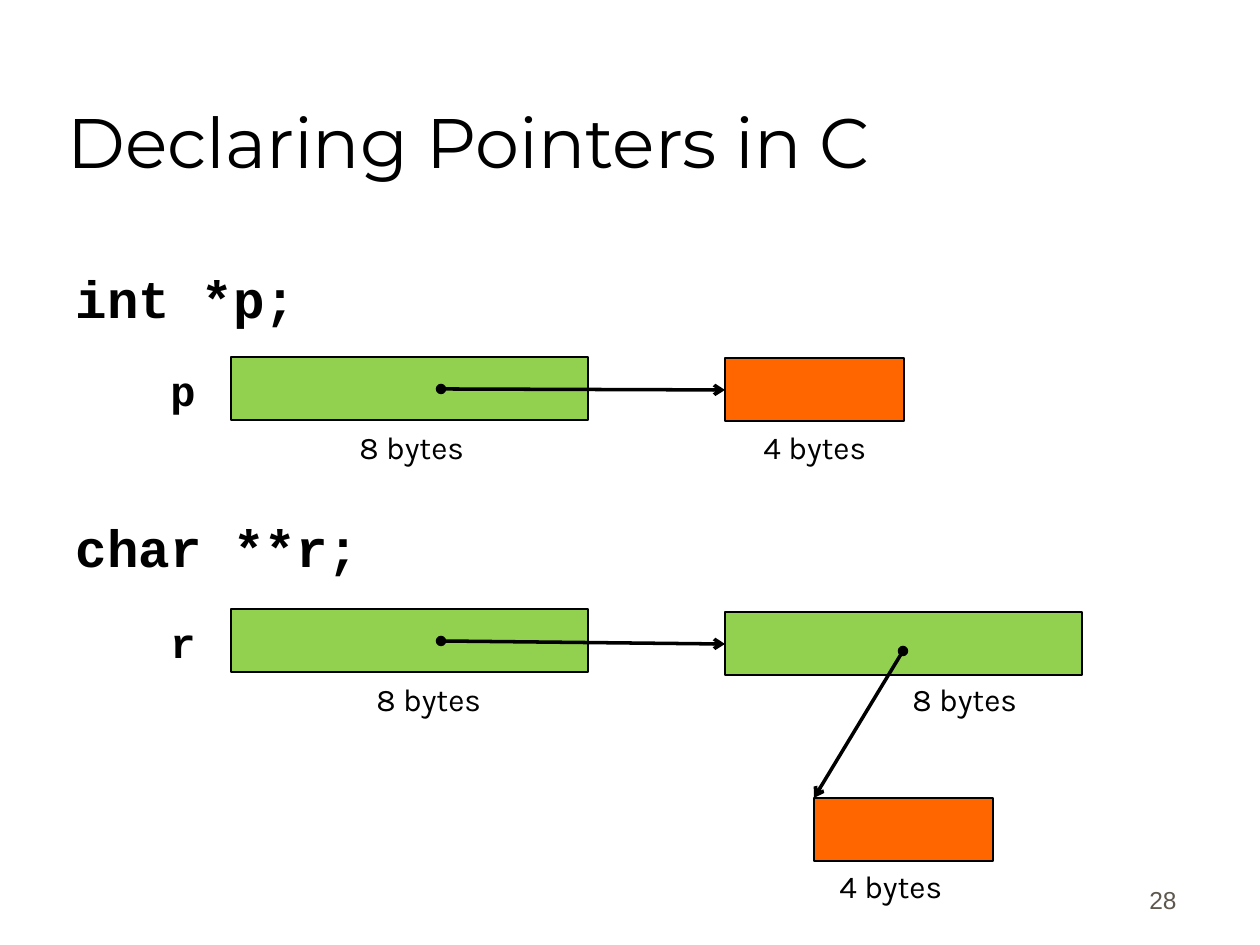
from collections import namedtuple

from lxml.etree import SubElement
from pptx import Presentation
from pptx.dml.color import RGBColor
from pptx.enum.shapes import MSO_CONNECTOR, MSO_SHAPE
from pptx.enum.text import MSO_ANCHOR, MSO_AUTO_SIZE, PP_ALIGN
from pptx.oxml.ns import qn
from pptx.util import Emu, Pt

BLACK = RGBColor(0x00, 0x00, 0x00)
GREEN = RGBColor(0x92, 0xD0, 0x50)
ORANGE = RGBColor(0xFF, 0x66, 0x00)
GREY = RGBColor(0x5E, 0x57, 0x4E)
CODE_FONT = "Courier New"
POINTER_WIDTH, VALUE_WIDTH, CELL_HEIGHT = 357, 179, 63

Box = namedtuple("Box", "left top width height")


def px(length):
    """Turn pixels at 126 to the inch into EMU."""
    return Emu(round(length * 914400 / 126))


def place(shape, box):
    """Move and size a shape to a box."""
    shape.left, shape.top, shape.width, shape.height = map(px, box)


def add_span(para, text, font, size, color=BLACK, bold=False):
    """Add one formatted run to a paragraph."""
    span = para.add_run()
    span.text = text
    span.font.name = font
    span.font.size = Pt(size)
    span.font.bold = bold
    span.font.color.rgb = color


def add_label(page, box, text, font, size, color=BLACK, bold=False):
    """Add a text box with one line and return it."""
    label = page.shapes.add_textbox(*map(px, box))
    label.text_frame.word_wrap = True
    add_span(label.text_frame.paragraphs[0], text, font, size, color, bold)
    return label


def add_cell(page, left, top, width, fill):
    """Draw one memory cell."""
    box = Box(left, top, width, CELL_HEIGHT)
    cell = page.shapes.add_shape(MSO_SHAPE.RECTANGLE, *map(px, box))
    cell.shadow.inherit = False
    cell.fill.solid()
    cell.fill.fore_color.rgb = fill
    cell.line.color.rgb = BLACK
    cell.line.width = Pt(0.75)


def add_arrow(page, start, end):
    """Draw a pointer arrow from a dot to an open head."""
    arrow = page.shapes.add_connector(MSO_CONNECTOR.STRAIGHT, *map(px, start + end))
    arrow.line.color.rgb = BLACK
    arrow.line.width = Pt(2)
    SubElement(arrow.line._get_or_add_ln(), qn("a:headEnd"), type="oval")
    SubElement(arrow.line._get_or_add_ln(), qn("a:tailEnd"), type="arrow")
    SubElement(arrow._element.spPr, qn("a:effectLst"))


def add_caption(page, left, top, text):
    """Write the size of a memory cell."""
    add_label(page, Box(left, top, 152, 50), text, "Karla", 18)


def add_title(page, box, text):
    """Fill the title placeholder."""
    title = page.shapes.title
    place(title, box)
    frame = title.text_frame
    frame.vertical_anchor = MSO_ANCHOR.BOTTOM
    frame.auto_size = MSO_AUTO_SIZE.NONE
    para = frame.paragraphs[0]
    para.alignment = PP_ALIGN.LEFT
    add_span(para, text, "Montserrat", 40)


def add_declarations(page, box, declarations):
    """List the declarations, each with its space before in points."""
    body = page.placeholders[1]
    place(body, box)
    frame = body.text_frame
    frame.auto_size = MSO_AUTO_SIZE.NONE
    for index, (text, space) in enumerate(declarations):
        para = frame.add_paragraph() if index else frame.paragraphs[0]
        para.space_before = Pt(space)
        properties = para._p.get_or_add_pPr()
        properties.set("marL", "0")
        properties.set("indent", "0")
        SubElement(properties, qn("a:buNone"))
        add_span(para, text, CODE_FONT, 30, bold=True)


def add_pointer_row(page, box, name, target, drop, captions):
    """Draw a named pointer and the cell it points to."""
    target_width, target_fill = target
    target_left = box.left + 567
    middle = box.top + 32
    add_cell(page, box.left + 73, box.top, POINTER_WIDTH, GREEN)
    add_cell(page, target_left, box.top + drop, target_width, target_fill)
    add_label(page, Box(box.left, box.top + 1, 73, box.height), name, CODE_FONT, 24, bold=True)
    add_arrow(page, (box.left + 283, middle), (target_left, middle + drop))
    for offset, text in captions:
        add_caption(page, box.left + offset, box.top + box.height + 2, text)


def add_final_value(page, box, source):
    """Draw the value at the end of the second pointer."""
    add_cell(page, box.left, box.top, box.width, ORANGE)
    add_arrow(page, source, (box.left, box.top))
    add_caption(page, box.left + 13, box.top + box.height, "4 bytes")


def add_page_number(page, box, number):
    """Write the page number at the lower right."""
    label = add_label(page, box, number, "Arial", 14, GREY)
    label.text_frame.vertical_anchor = MSO_ANCHOR.BOTTOM
    label.text_frame.paragraphs[0].alignment = PP_ALIGN.RIGHT


def main():
    """Build and save the slide."""
    deck = Presentation()
    deck.slide_width, deck.slide_height = px(1260), px(945)
    page = deck.slides.add_slide(deck.slide_layouts[1])
    add_title(page, Box(55, 32, 1071, 157), "Declaring Pointers in C")
    add_declarations(page, Box(63, 260, 1165, 575), [("int *p;", 6), ("char **r;", 106)])
    add_page_number(page, Box(927, 858, 262, 63), "28")
    add_pointer_row(page, Box(158, 357, 924, CELL_HEIGHT), "p", (VALUE_WIDTH, ORANGE), 1,
                    [(189, "8 bytes"), (593, "4 bytes")])
    add_pointer_row(page, Box(158, 609, 924, CELL_HEIGHT), "r", (POINTER_WIDTH, GREEN), 3,
                    [(206, "8 bytes"), (742, "8 bytes")])
    add_final_value(page, Box(814, 798, VALUE_WIDTH, CELL_HEIGHT), (903, 651))
    deck.save("out.pptx")


if __name__ == "__main__":
    main()
